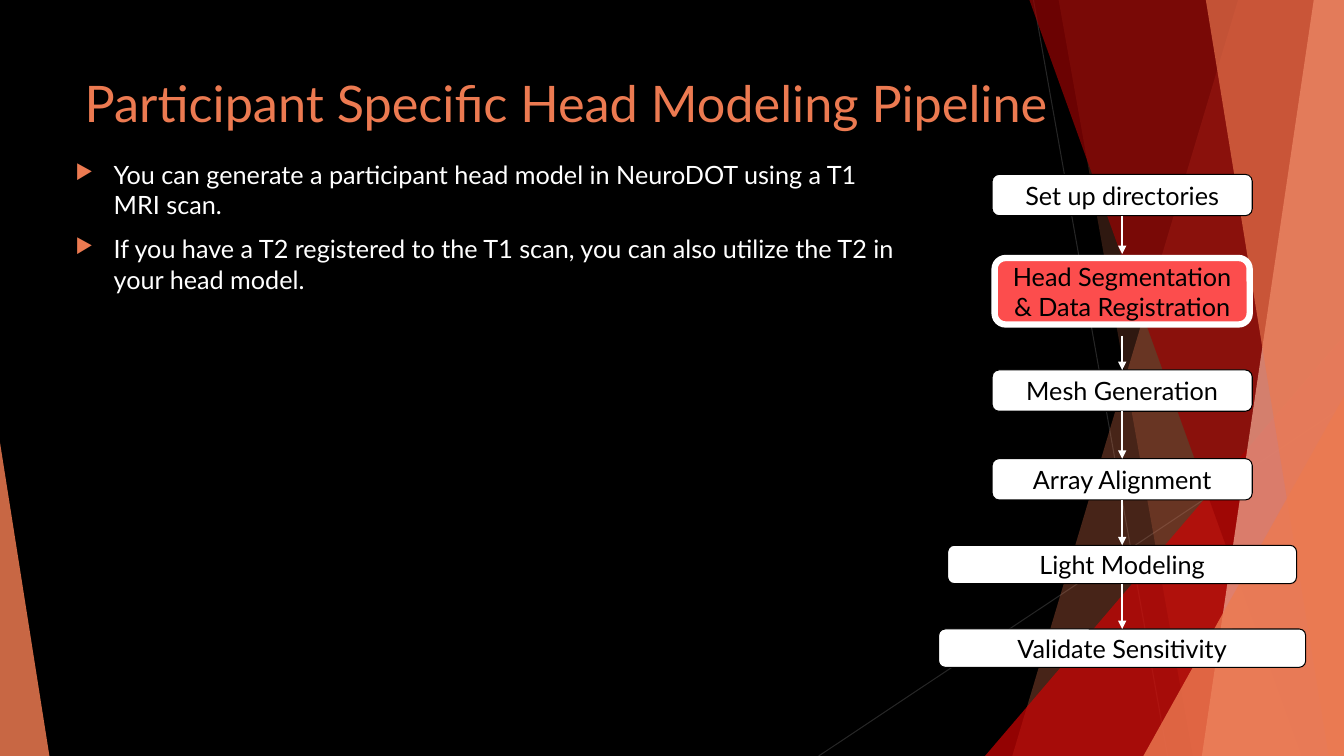
from lxml.etree import SubElement
from pptx import Presentation
from pptx.dml.color import RGBColor
from pptx.enum.shapes import MSO_CONNECTOR, MSO_SHAPE
from pptx.enum.text import MSO_ANCHOR, MSO_AUTO_SIZE, PP_ALIGN
from pptx.oxml.ns import qn
from pptx.util import Inches, Pt

W, H = 13.33, 7.5
FONT = "Lato"
COLORS = {
    "black": "000000", "white": "FFFFFF", "ray": "262626", "orange": "EC7A51",
    "peach": "F4AF97", "red": "CC0404", "dark_red": "990303", "active": "FC4D4D",
}
BULLETS = [
    "You can generate a participant head model in NeuroDOT using a T1 MRI scan.",
    "If you have a T2 registered to the T1 scan, you can also utilize the T2 in your head model.",
]
STEPS = [
    ("Set up directories", 0, 2.58, 0.41),
    ("Head Segmentation\n& Data Registration", 0.83, 2.53, 0.66),
    ("Mesh Generation", 1.94, 2.58, 0.41),
    ("Array Alignment", 2.82, 2.58, 0.41),
    ("Light Modeling", 3.68, 3.46, 0.38),
    ("Validate Sensitivity", 4.51, 3.64, 0.38),
]
ACTIVE_STEP = 1


def rgb(name):
    return RGBColor.from_string(COLORS[name])


def paint(sp, fill, alpha=100, line=None, width=0.75):
    sp.shadow.inherit = False
    sp.fill.solid()
    sp.fill.fore_color.rgb = rgb(fill)
    if alpha < 100:
        clr = sp.fill._xPr.find(qn("a:solidFill"))[0]
        SubElement(clr, qn("a:alpha"), val=str(alpha * 1000))
    if line:
        sp.line.color.rgb = rgb(line)
        sp.line.width = Pt(width)
    else:
        sp.line.fill.background()


def style_text(p, size, color):
    for r in p.runs:
        r.font.name = FONT
        r.font.size = Pt(size)
        r.font.color.rgb = rgb(color)


def add_line(s, x1, y1, x2, y2, color, width, arrow=False):
    ends = [Inches(v) for v in (x1, y1, x2, y2)]
    line = s.shapes.add_connector(MSO_CONNECTOR.STRAIGHT, *ends)
    line.line.color.rgb = rgb(color)
    line.line.width = Pt(width)
    if arrow:
        SubElement(line.line._get_or_add_ln(), qn("a:tailEnd"), type="triangle")
    SubElement(line._element.spPr, qn("a:effectLst"))
    return line


def add_panel(s, top_x, bottom_x, color, alpha):
    points = [(Inches(x), Inches(y)) for x, y in
              ((top_x, 0), (W, 0), (W, H), (bottom_x, H))]
    builder = s.shapes.build_freeform(*points[0], scale=1.0)
    builder.add_line_segments(points[1:], close=True)
    paint(builder.convert_to_shape(), color, alpha)


def add_corner(s, left, top, width, apex, color, alpha):
    sp = s.shapes.add_shape(MSO_SHAPE.ISOSCELES_TRIANGLE, Inches(left), Inches(top),
                            Inches(width), Inches(H - top))
    sp.adjustments[0] = apex
    paint(sp, color, alpha)


def add_backdrop(s):
    s.background.fill.solid()
    s.background.fill.fore_color.rgb = rgb("black")
    add_line(s, 10.25, 0, 11.58, H, "ray", 0.75)
    add_line(s, W, 4.03, 8.12, H, "ray", 0.75)
    add_panel(s, 12.28, 10.04, "orange", 30)
    add_panel(s, 10.5, 11.83, "orange", 20)
    add_corner(s, 9.77, 3.33, W - 9.77, 1, "red", 72)
    add_panel(s, 10.21, 12.91, "dark_red", 70)
    add_panel(s, 13.03, 11.92, "peach", 70)
    add_panel(s, 11.96, 13.18, "orange", 65)
    add_corner(s, 11.34, 3.93, W - 11.34, 1, "orange", 80)
    add_corner(s, 0, 4.39, 0.49, 0, "orange", 85)


def add_title(s, left, top, width, height):
    title = s.shapes.title
    title.left, title.top, title.width, title.height = map(
        Inches, (left, top, width, height))
    tf = title.text_frame
    tf.text = "Participant Specific Head Modeling Pipeline"
    tf.auto_size = MSO_AUTO_SIZE.NONE
    tf.vertical_anchor = MSO_ANCHOR.TOP
    tf.paragraphs[0].alignment = PP_ALIGN.LEFT
    style_text(tf.paragraphs[0], 36, "orange")


def add_bullets(s, left, top, width, height):
    tf = s.shapes.add_textbox(*map(Inches, (left, top, width, height))).text_frame
    tf.word_wrap = True
    tf.text = "\n".join(BULLETS)
    for i, p in enumerate(tf.paragraphs):
        pPr = p._p.get_or_add_pPr()
        pPr.set("marL", str(Inches(0.38)))
        pPr.set("indent", str(Inches(-0.38)))
        clr = SubElement(pPr, qn("a:buClr"))
        SubElement(clr, qn("a:srgbClr"), val=COLORS["orange"])
        SubElement(pPr, qn("a:buSzPct"), val="80000")
        SubElement(pPr, qn("a:buChar"), char="▶")
        if i:
            p.space_before = Pt(10)
        style_text(p, 18, "white")


def add_step(s, center, top, width, height, text, active):
    sp = s.shapes.add_shape(MSO_SHAPE.ROUNDED_RECTANGLE, Inches(center - width / 2),
                            Inches(top), Inches(width), Inches(height))
    if active:
        paint(sp, "active", line="white", width=4.5)
    else:
        paint(sp, "white", line="black")
    tf = sp.text_frame
    tf.margin_left = tf.margin_right = tf.margin_top = tf.margin_bottom = 0
    tf.word_wrap = True
    tf.vertical_anchor = MSO_ANCHOR.MIDDLE
    tf.text = text
    for p in tf.paragraphs:
        p.alignment = PP_ALIGN.CENTER
        style_text(p, 18, "black")
    return sp


def add_pipeline(s, left, top, width):
    center = left + width / 2
    boxes = [add_step(s, center, top + dy, w, h, text, i == ACTIVE_STEP)
             for i, (text, dy, w, h) in enumerate(STEPS)]
    for i in range(len(STEPS) - 1):
        start = top + STEPS[i][1] + STEPS[i][3]
        end = top + STEPS[i + 1][1]
        if i == ACTIVE_STEP:
            start += 0.11
        if i + 1 == ACTIVE_STEP:
            end -= 0.04
        arrow = add_line(s, center, start, center, end, "white", 1, arrow=True)
        if i != ACTIVE_STEP:
            arrow.begin_connect(boxes[i], 2)
        if i + 1 != ACTIVE_STEP:
            arrow.end_connect(boxes[i + 1], 0)


def main():
    prs = Presentation()
    prs.slide_width, prs.slide_height = Inches(W), Inches(H)
    s = prs.slides.add_slide(prs.slide_layouts[5])
    add_backdrop(s)
    add_title(s, 0.74, 0.67, 10.67, 1.44)
    add_bullets(s, 0.65, 1.53, 8.43, 4.24)
    add_pipeline(s, 9.31, 1.73, 3.64)
    prs.save("out.pptx")


if __name__ == "__main__":
    main()
